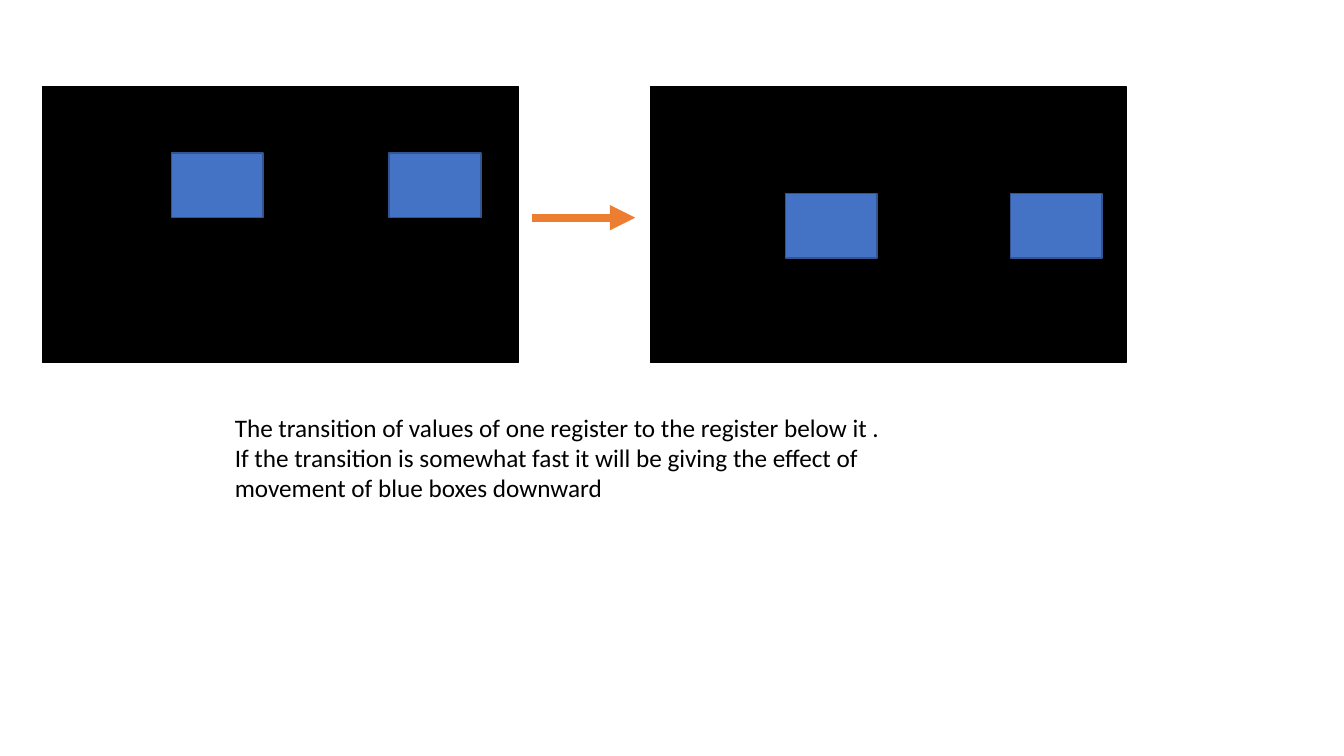
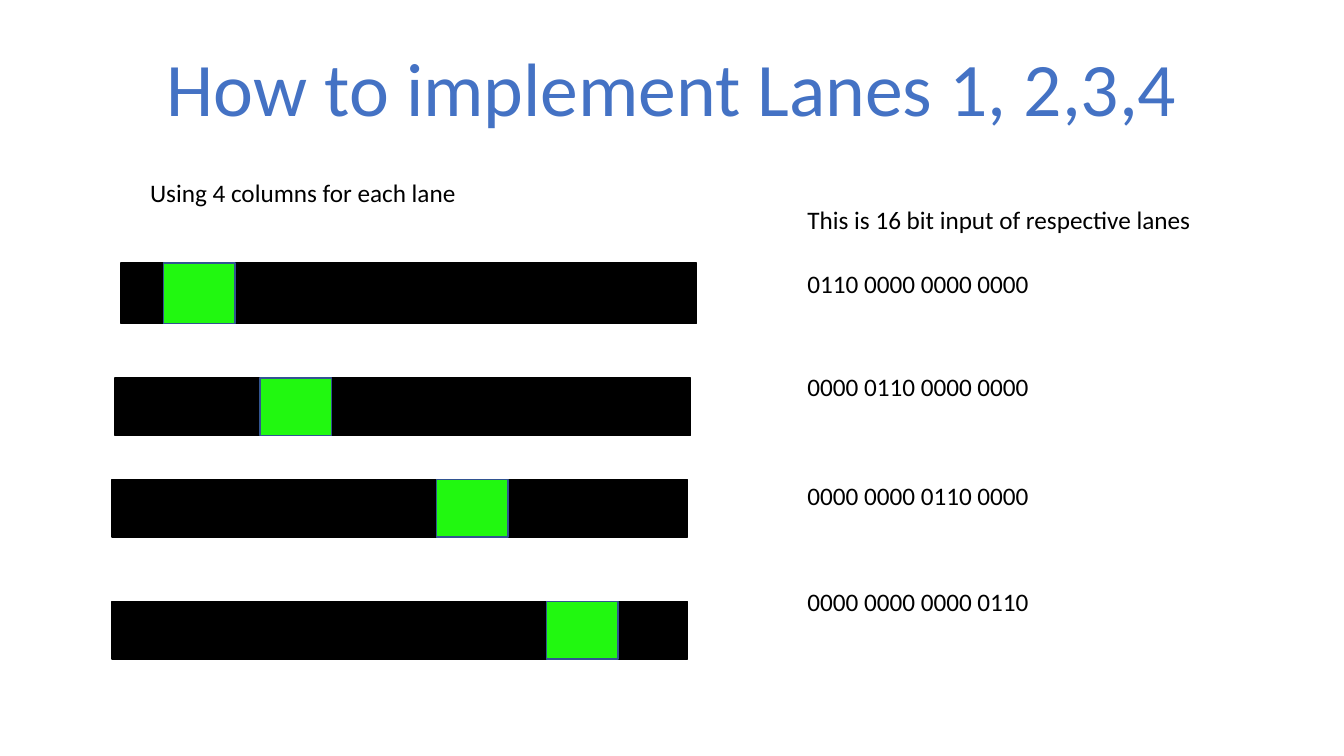
"""Builds two slides on moving boxes between registers and driving four lanes."""
from dataclasses import dataclass

from lxml import etree
from pptx import Presentation
from pptx import util as u
from pptx.dml.color import RGBColor
from pptx.enum import shapes, text
from pptx.oxml.ns import qn


@dataclass(frozen=True)
class Theme:
    font: str = "Calibri"
    black: str = "000000"
    blue: str = "4472C4"
    edge: str = "325491"
    green: str = "21F810"
    orange: str = "ED7D31"
    body: int = 18
    title: int = 54
    outline: int = 1
    arrow: int = 6


THEME = Theme()

SCREEN_TOP, SCREEN_SIZE = 0.86, (4.72, 2.74)
BOX_SIZE = (0.91, 0.64)
SCREENS = [
    {"left": 0.42, "box_top": 1.52, "box_lefts": (1.7, 3.86)},
    {"left": 6.45, "box_top": 1.92, "box_lefts": (7.79, 10.02)},
]
ARROW = {"start": 5.28, "end": 6.3, "y": 2.16}
EXPLANATION = [
    "The transition of values of one register to the register below it .",
    "If the transition is somewhat fast it will be giving the effect of "
    "movement of blue boxes downward",
]

TITLE = "How to implement Lanes 1, 2,3,4"
LANE_HEADING = "Using 4 columns for each lane"
BITS_HEADING = "This is 16 bit input of respective lanes"
LANE_WIDTH, CELL_WIDTH, BITS_LEFT = 5.71, 0.71, 7.91
LANES = [
    {"left": 1.2, "top": 2.61, "height": 0.6, "cell": 1.62,
     "bits": "0110 0000 0000 0000", "bits_top": 2.61},
    {"left": 1.14, "top": 3.75, "height": 0.57, "cell": 2.58,
     "bits": "0000 0110 0000 0000", "bits_top": 3.63},
    {"left": 1.11, "top": 4.76, "height": 0.57, "cell": 4.33,
     "bits": "0000 0000 0110 0000", "bits_top": 4.72},
    {"left": 1.11, "top": 5.97, "height": 0.57, "cell": 5.42,
     "bits": "0000 0000 0000 0110", "bits_top": 5.77},
]


def apply(target, formats):
    for name, value in formats.items():
        setattr(target, name, value)


def add_block(slide, left, top, width, height, fill, edge):
    block = slide.shapes.add_shape(
        shapes.MSO_SHAPE.RECTANGLE, *map(u.Inches, (left, top, width, height)))
    block.shadow.inherit = False
    block.fill.solid()
    block.fill.fore_color.rgb = RGBColor.from_string(fill)
    block.line.color.rgb = RGBColor.from_string(edge)
    block.line.width = u.Pt(THEME.outline)


def add_text(slide, place, lines, size=THEME.body, color=THEME.black,
             align=text.PP_ALIGN.LEFT, wrap=True):
    frame = slide.shapes.add_textbox(*map(u.Inches, place)).text_frame
    apply(frame, {"word_wrap": wrap, "text": "\n".join(lines),
                  "auto_size": text.MSO_AUTO_SIZE.SHAPE_TO_FIT_TEXT})
    for paragraph in frame.paragraphs:
        paragraph.alignment = align
        font = paragraph.runs[0].font
        apply(font, {"name": THEME.font, "size": u.Pt(size)})
        font.color.rgb = RGBColor.from_string(color)


def add_arrow(slide, start, end, y):
    arrow = slide.shapes.add_connector(
        shapes.MSO_CONNECTOR.STRAIGHT, *map(u.Inches, (start, y, end, y)))
    arrow.line.color.rgb = RGBColor.from_string(THEME.orange)
    arrow.line.width = u.Pt(THEME.arrow)
    properties = arrow.element.spPr
    etree.SubElement(properties.find(qn("a:ln")), qn("a:tailEnd"), type="triangle")
    etree.SubElement(properties, qn("a:effectLst"))


def build_transition(slide):
    for screen in SCREENS:
        add_block(slide, screen["left"], SCREEN_TOP, *SCREEN_SIZE, THEME.black, THEME.black)
        for left in screen["box_lefts"]:
            add_block(slide, left, screen["box_top"], *BOX_SIZE, THEME.blue, THEME.edge)
    add_arrow(slide, **ARROW)
    add_text(slide, (2.23, 4.04, 7.29, 1.31), EXPLANATION)


def build_lanes(slide):
    add_text(slide, (1.5, 0.36, 10.33, 1.01), [TITLE], THEME.title, THEME.blue,
             text.PP_ALIGN.CENTER, wrap=False)
    add_text(slide, (1.39, 1.71, 4.13, 0.4), [LANE_HEADING])
    add_text(slide, (BITS_LEFT, 1.98, 4.64, 0.4), [BITS_HEADING])
    for lane in LANES:
        top, height = lane["top"], lane["height"]
        add_block(slide, lane["left"], top, LANE_WIDTH, height, THEME.black, THEME.black)
        add_block(slide, lane["cell"], top, CELL_WIDTH, height, THEME.green, THEME.edge)
        add_text(slide, (BITS_LEFT, lane["bits_top"], 3.2, 0.4), [lane["bits"]])


def main():
    deck = Presentation()
    apply(deck, {"slide_width": u.Inches(13.33), "slide_height": u.Inches(7.5)})
    for build in (build_transition, build_lanes):
        build(deck.slides.add_slide(deck.slide_layouts[6]))
    deck.save("out.pptx")


if __name__ == "__main__":
    main()
